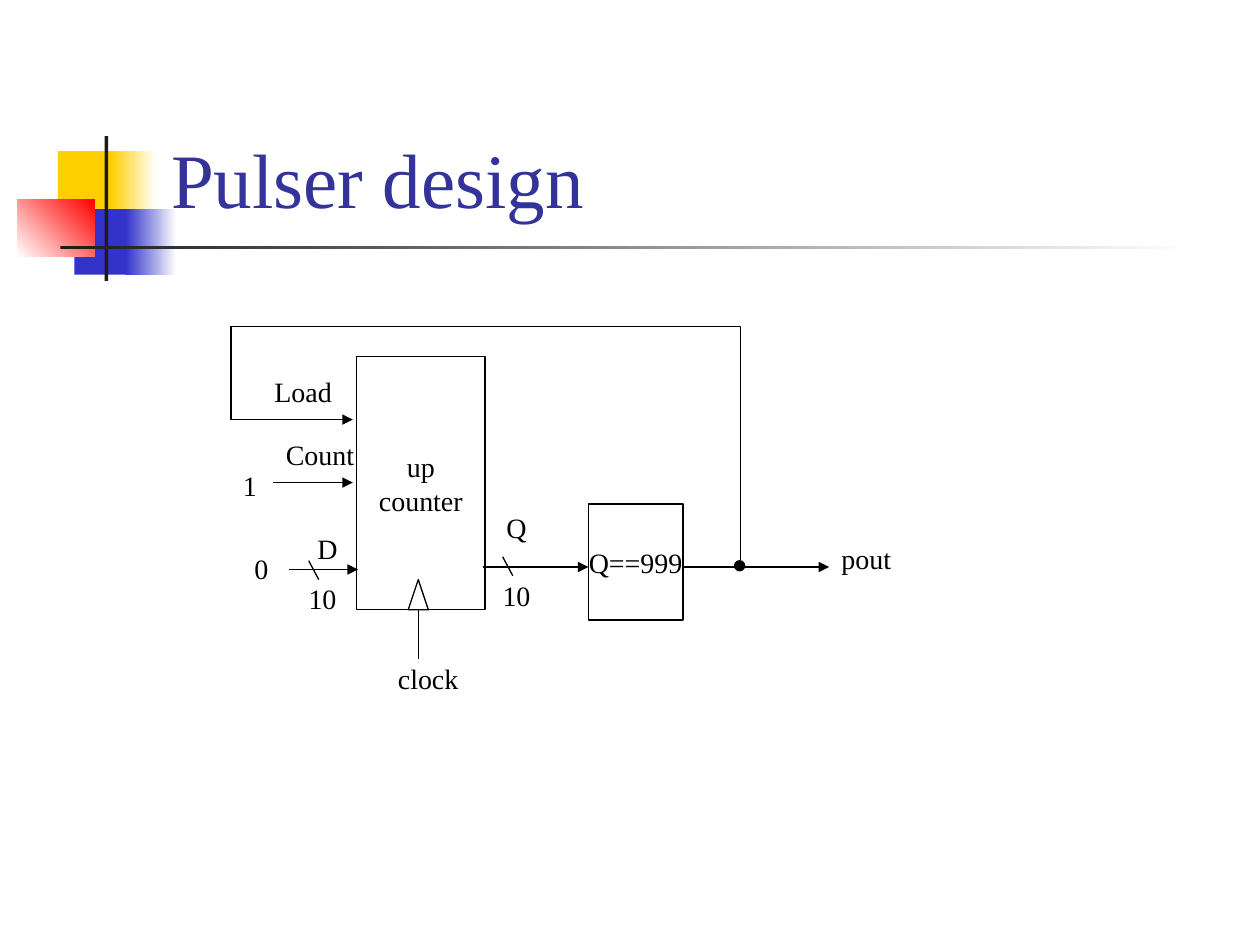
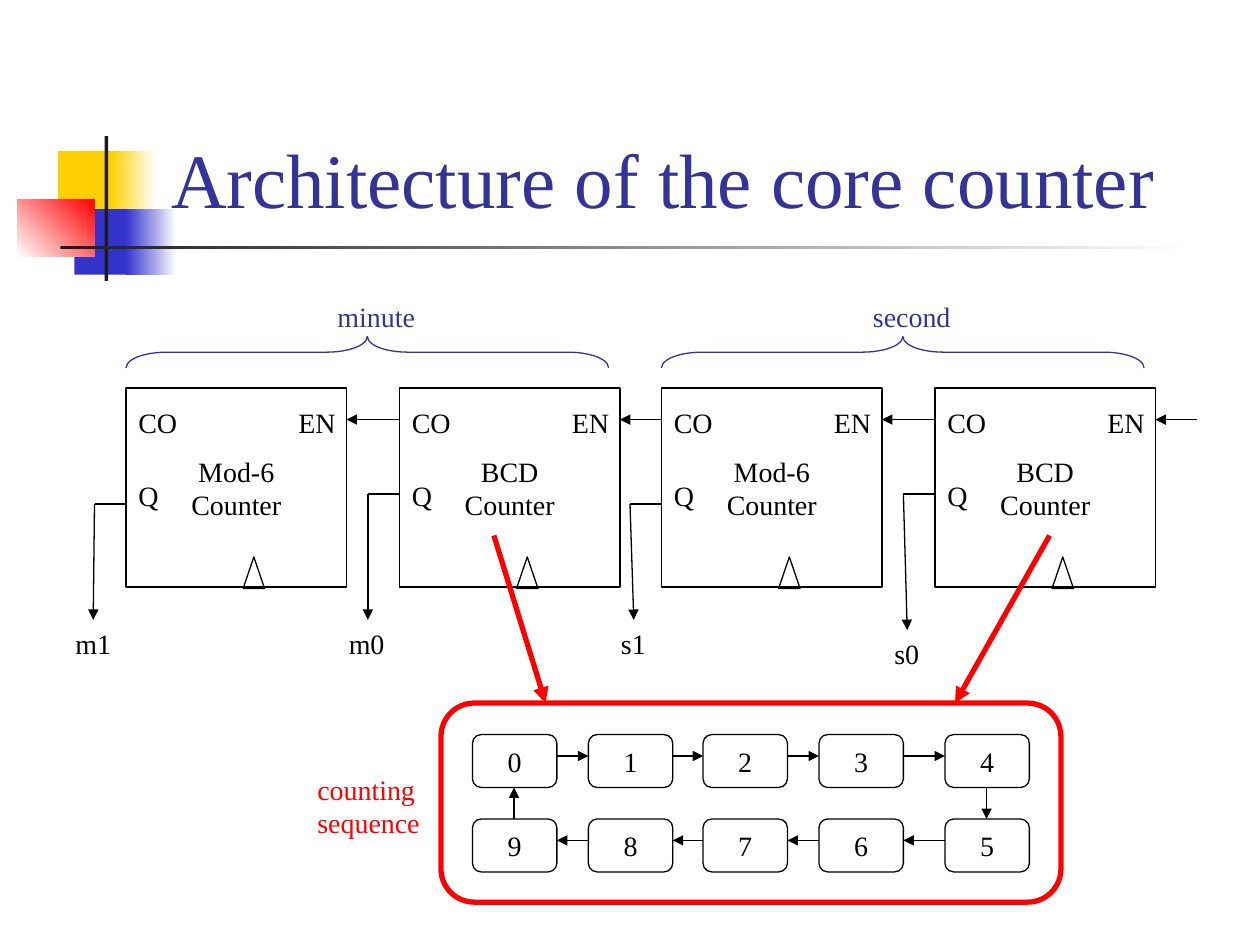
"""Build two slides on counter circuits: a pulser and a timer core."""
import pptx
import pptx.util
import pptx.dml.color
import pptx.enum.shapes
import pptx.enum.text
import pptx.oxml
import pptx.oxml.ns

Inches = pptx.util.Inches
Kind = pptx.enum.shapes.MSO_SHAPE
Link = pptx.enum.shapes.MSO_CONNECTOR
Align = pptx.enum.text.PP_ALIGN
Anchor = pptx.enum.text.MSO_ANCHOR
Fit = pptx.enum.text.MSO_AUTO_SIZE

FONT = "Times New Roman"
BLACK, WHITE, DARK = "000000", "FFFFFF", "1C1C1C"
RED, NAVY, BLUE, GOLD = "FF0000", "333399", "3333CC", "FFCF01"

BAND = [
    ((0.46, 1.2, 0.48, 0.52), GOLD),
    ((0.88, 1.2, 0.36, 0.52), (GOLD, WHITE, 0)),
    ((0.59, 1.66, 0.46, 0.52), BLUE),
    ((1, 1.66, 0.4, 0.52), (BLUE, WHITE, 0)),
    ((0.14, 1.58, 0.61, 0.46), (WHITE, RED, 45)),
    ((0.83, 1.08, 0.03, 1.15), DARK),
    ((0.48, 1.95, 9, 0.03), (DARK, WHITE, 0)),
]

PARTS = [
    (Kind.RECTANGLE, (2.83, 2.83, 1.02, 2.01), "up\ncounter"),
    (Kind.ISOSCELES_TRIANGLE, (3.24, 4.6, 0.16, 0.24), ""),
    (Kind.RECTANGLE, (4.67, 4, 0.75, 0.92), "Q==999"),
]
WIRES = [
    ((2.29, 4.52), (2.84, 4.52)),
    ((3.83, 4.5), (4.67, 4.5)),
    ((1.83, 3.33), (2.8, 3.33)),
    ((2.17, 3.83), (2.8, 3.83)),
    ((5.42, 4.5), (6.58, 4.5)),
]
TICKS = [
    ((3.32, 5.23), (3.32, 4.84)),
    ((2.45, 4.45), (2.53, 4.6)),
    ((3.99, 4.42), (4.07, 4.57)),
]
NAMES = [
    ("clock", 3.06, 5.2, 0.68),
    ("10", 2.35, 4.57, 0.42),
    ("D", 2.42, 4.17, 0.36),
    ("10", 3.89, 4.54, 0.42),
    ("Q", 3.92, 4, 0.36),
    ("Load", 2.08, 2.92, 0.66),
    ("Count", 2.17, 3.42, 0.74),
    ("pout", 6.58, 4.25, 0.6),
    ("0", 1.92, 4.33, 0.31),
    ("1", 1.83, 3.67, 0.31),
]

UNITS = [
    ("Mod-6", 1, 4, "m1", (0.5, 4.92, 0.49), 0.74),
    ("BCD", 3.17, 3.92, "m0", (2.67, 4.92, 0.49), 2.92),
    ("Mod-6", 5.25, 4, "s1", (4.83, 4.92, 0.4), 5.03),
    ("BCD", 7.42, 3.92, "s0", (7, 5, 0.4), 7.2),
]
PINS = [("CO", 0, 3.17, 0.51), ("EN", 1.27, 3.17, 0.5), ("Q", 0, 3.75, 0.36)]
SPANS = [("minute", 2.79), ("second", 7.04)]
COLS = [3.75, 4.67, 5.58, 6.5, 7.5]
ROWS = [(5.83, "01234"), (6.5, "98765")]
CALLS = [((3.92, 4.25), (4.33, 5.58)), ((8.33, 4.25), (7.58, 5.58))]


def tint(code):
    return pptx.dml.color.RGBColor.from_string(code)


def write(shape, text, ink=BLACK, size=16, align=Align.LEFT):
    frame = shape.text_frame
    frame.text = text
    for para in frame.paragraphs:
        para.alignment = align
        for run in para.runs:
            run.font.name = FONT
            run.font.size = pptx.util.Pt(size)
            run.font.color.rgb = tint(ink)
    return frame


def label(slide, text, left, top, width, ink=BLACK, height=0.37):
    box = slide.shapes.add_textbox(*map(Inches, (left, top, width, height)))
    frame = write(box, text, ink)
    frame.word_wrap = False
    frame.auto_size = Fit.SHAPE_TO_FIT_TEXT


def draw(slide, kind, at, text="", fill=None, line=BLACK, width=0.75):
    shape = slide.shapes.add_shape(kind, *map(Inches, at))
    shape.shadow.inherit = False
    if fill is None:
        shape.fill.background()
    elif isinstance(fill, str):
        shape.fill.solid()
        shape.fill.fore_color.rgb = tint(fill)
    else:
        shape.fill.gradient()
        shape.fill.gradient_angle = fill[2]
        for stop, code in zip(shape.fill.gradient_stops, fill):
            stop.color.rgb = tint(code)
    if line:
        shape.line.color.rgb = tint(line)
        shape.line.width = pptx.util.Pt(width)
    else:
        shape.line.fill.background()
    if text:
        frame = write(shape, text, align=Align.CENTER)
        frame.word_wrap = False
        frame.vertical_anchor = Anchor.MIDDLE
    return shape


def wire(slide, start, end, arrow=True, ink=BLACK, width=0.75, kind=Link.STRAIGHT):
    link = slide.shapes.add_connector(kind, *map(Inches, (*start, *end)))
    link.line.color.rgb = tint(ink)
    link.line.width = pptx.util.Pt(width)
    if arrow:
        tip = pptx.oxml.ns.qn("a:tailEnd")
        link.line._get_or_add_ln().makeelement
        head = link._element.makeelement(tip, {"type": "triangle"})
        link.line._get_or_add_ln().append(head)
    props = link._element.spPr
    props.append(props.makeelement(pptx.oxml.ns.qn("a:effectLst"), {}))
    return link


def start(deck, title):
    slide = deck.slides.add_slide(deck.slide_layouts[6])
    for at, fill in BAND:
        draw(slide, Kind.RECTANGLE, at, fill=fill, line=None)
    box = slide.shapes.add_textbox(*map(Inches, (1.26, 0.23, 8.52, 1.6)))
    frame = write(box, title, NAVY, 44)
    frame.word_wrap = True
    frame.vertical_anchor = Anchor.BOTTOM
    return slide


def loop(slide):
    link = wire(slide, (4.41, 1.87), (3.3, 5.91), False, kind=Link.ELBOW)
    props = link._element.spPr
    props.find(pptx.oxml.ns.qn("a:xfrm")).set("rot", "5400000")
    geom = props.find(pptx.oxml.ns.qn("a:prstGeom"))
    guides = geom.find(pptx.oxml.ns.qn("a:avLst"))
    bend = {"name": "adj1", "fmla": "val 167000"}
    guides.append(guides.makeelement(pptx.oxml.ns.qn("a:gd"), bend))


def pulser(deck):
    slide = start(deck, "Pulser design")
    for kind, at, text in PARTS:
        draw(slide, kind, at, text)
    for pair in WIRES:
        wire(slide, *pair)
    for pair in TICKS:
        wire(slide, *pair, arrow=False)
    for name in NAMES:
        label(slide, *name)
    draw(slide, Kind.OVAL, (5.83, 4.45, 0.08, 0.08), fill=BLACK)
    loop(slide)


def states(slide):
    for top, digits in ROWS:
        for left, digit in zip(COLS, digits):
            draw(slide, Kind.ROUNDED_RECTANGLE, (left, top, 0.67, 0.42), digit)
    for left, right in zip(COLS, COLS[1:]):
        wire(slide, (left + 0.67, 6), (right, 6))
        wire(slide, (right, 6.67), (left + 0.67, 6.67))
    wire(slide, (7.83, 6.25), (7.83, 6.5))
    wire(slide, (4.08, 6.5), (4.08, 6.25))
    draw(slide, Kind.ROUNDED_RECTANGLE, (3.5, 5.58, 4.92, 1.58), line=RED, width=3)
    label(slide, "counting\nsequence", 2.42, 6.08, 1.02, RED, 0.64)
    for pair in CALLS:
        wire(slide, *pair, ink=RED, width=3)


def core(deck):
    slide = start(deck, "Architecture of the core counter")
    feeds = [unit[1] for unit in UNITS[1:]] + [9.5]
    for (name, left, tap, out, spot, foot), feed in zip(UNITS, feeds):
        draw(slide, Kind.RECTANGLE, (left, 3.08, 1.75, 1.58), name + "\nCounter")
        draw(slide, Kind.ISOSCELES_TRIANGLE, (left + 0.93, 4.42, 0.17, 0.25))
        for pin, shift, top, width in PINS:
            label(slide, pin, left + shift, top, width)
        label(slide, out, *spot)
        wire(slide, (left, tap), (left - 0.25, tap), False)
        wire(slide, (left - 0.25, tap), (foot, spot[1]))
        wire(slide, (feed, 3.33), (left + 1.75, 3.33))
    for name, left in SPANS:
        brace = draw(slide, Kind.LEFT_BRACE, (left, 0.88, 0.25, 3.83), line=NAVY)
        brace.rotation = 90
        brace.adjustments[0] = 1.28
        label(slide, name, left - 0.21, 2.33, 0.82, NAVY)
    states(slide)


deck = pptx.Presentation()
deck.slide_width, deck.slide_height = Inches(10), Inches(7.5)
pulser(deck)
core(deck)
deck.save("out.pptx")
